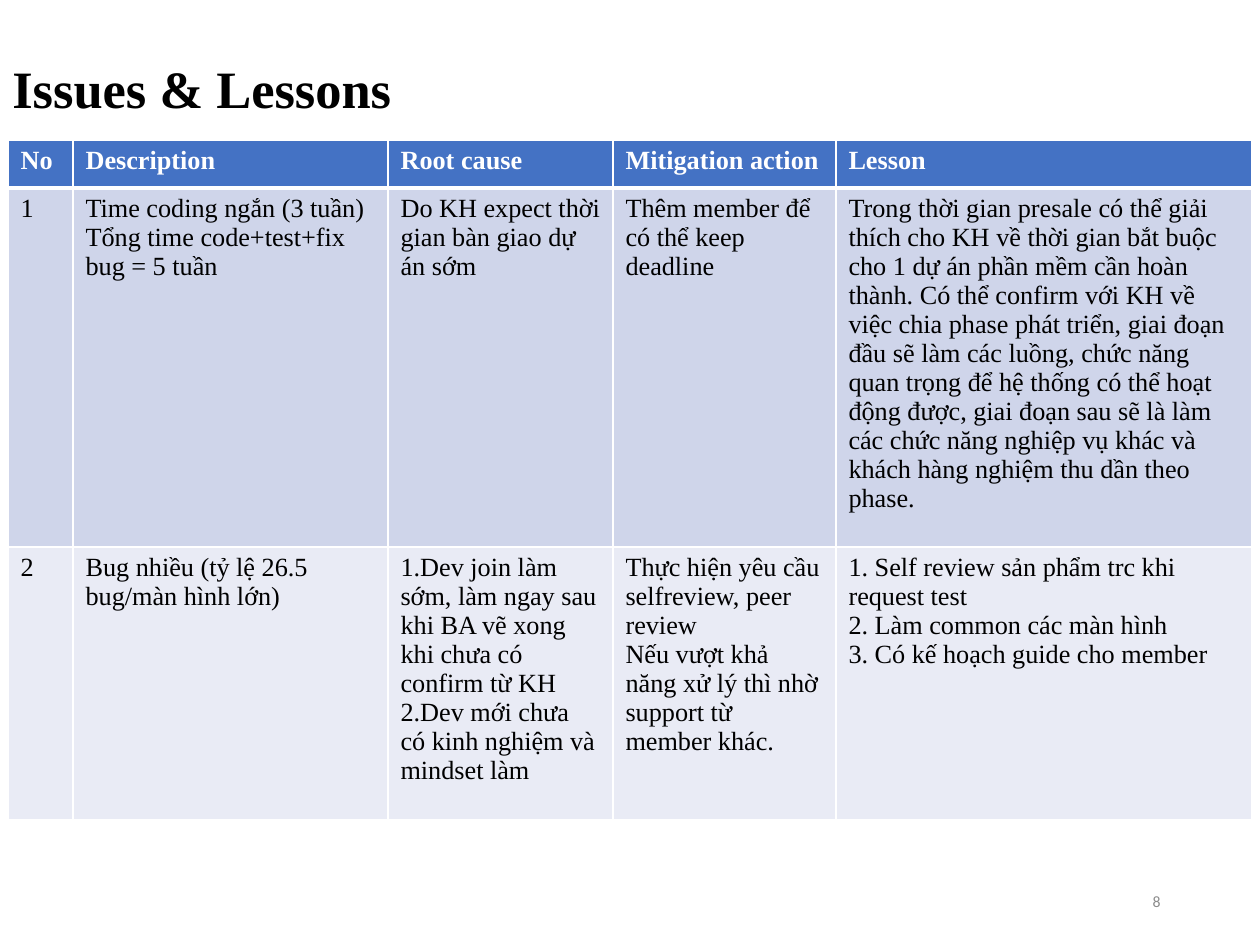
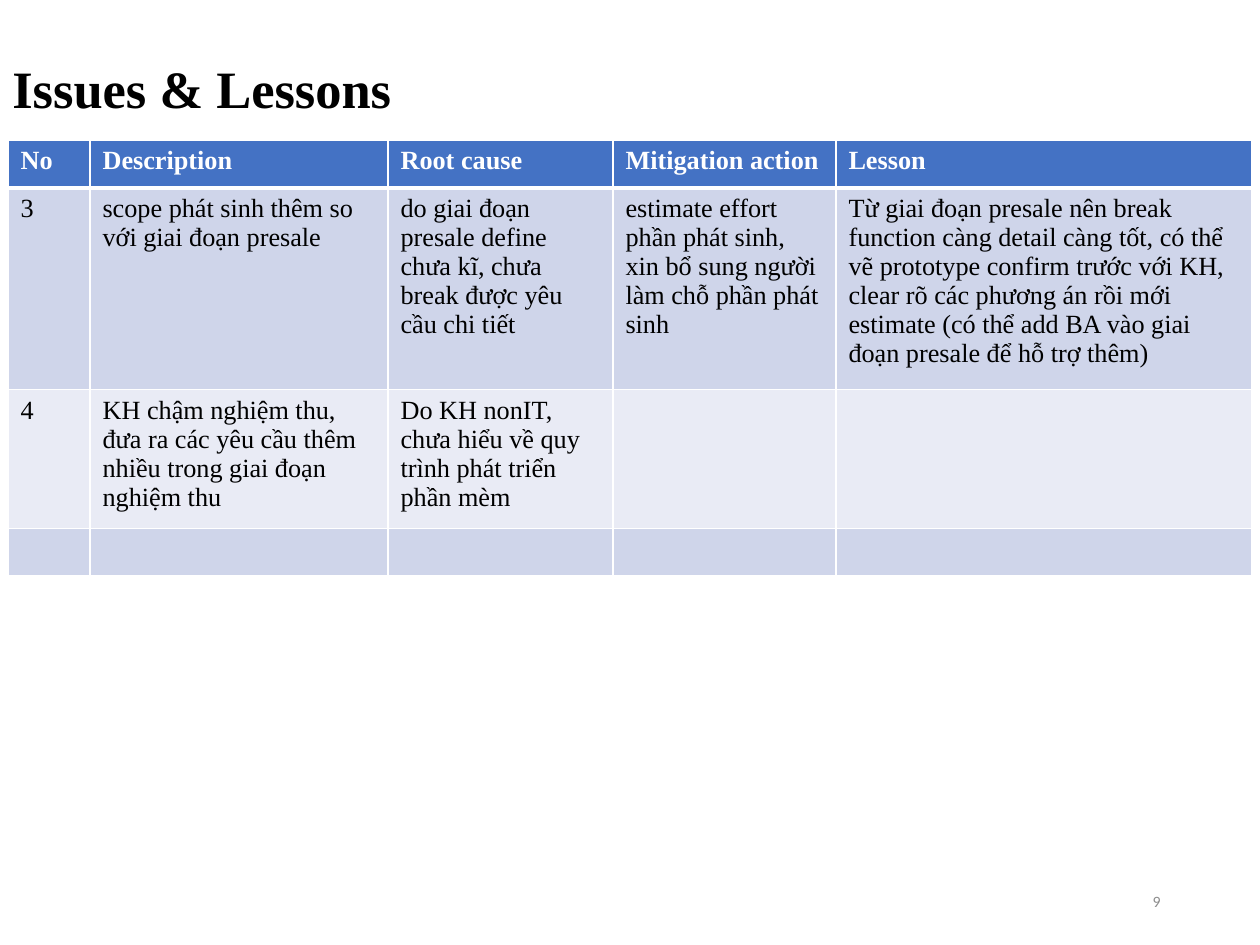
"""Build the two Issues & Lessons slides."""
from dataclasses import dataclass

from lxml import etree
from pptx import Presentation
from pptx.dml.color import RGBColor
from pptx.enum.text import MSO_ANCHOR, PP_ALIGN
from pptx.oxml.ns import qn
from pptx.slide import Slide
from pptx.table import _Cell
from pptx.text.text import TextFrame
from pptx.util import Pt

LEFT, RIGHT = PP_ALIGN.LEFT, PP_ALIGN.RIGHT
MIDDLE = MSO_ANCHOR.MIDDLE

PX_PER_INCH = 126
EMU_PER_INCH = 914400
COLORS = {
    "white": "FFFFFF",
    "black": "000000",
    "header": "4472C4",
    "band_dark": "CFD5EA",
    "band_light": "E9EBF5",
    "page_number": "8C8C8C",
}


@dataclass(frozen=True)
class Box:
    """A rectangle in px."""
    left: int
    top: int
    width: int
    height: int


@dataclass(frozen=True)
class TextStyle:
    """The look of a paragraph."""
    size: int
    color: str
    bold: bool = False
    font_name: str = "Times New Roman"
    alignment: PP_ALIGN = LEFT
    line_spacing: float = 1.0


@dataclass(frozen=True)
class IssuePage:
    """The contents of one slide."""
    number: int
    number_column_width: int
    row_heights: tuple[int, ...]
    issues: tuple[tuple[str, ...], ...]


TITLE = "Issues & Lessons"
TITLE_BOX = Box(0, 0, 1086, 183)
PAGE_NUMBER_BOX = Box(890, 876, 283, 50)
TABLE_LEFT, TABLE_TOP = 8, 140
HEADER_HEIGHT = 48
FIRST_COLUMNS_WIDTH = 380
OTHER_COLUMN_WIDTHS = (225, 223, 416)
HEADINGS = ("No", "Description", "Root cause", "Mitigation action", "Lesson")
THIN_BORDER, THICK_BORDER = Pt(1), Pt(3)

TITLE_STYLE = TextStyle(30, "black", bold=True, line_spacing=0.9)
PAGE_NUMBER_STYLE = TextStyle(9, "page_number", font_name="Calibri", alignment=RIGHT)
HEADING_STYLE = TextStyle(15, "white", bold=True)
BODY_STYLE = TextStyle(15, "black")

PAGES = (
    IssuePage(8, 65, (332, 273), (
        (
            "1",
            "Time coding ngắn (3 tuần)\nTổng time code+test+fix bug = 5 tuần",
            "Do KH expect thời gian bàn giao dự án sớm",
            "Thêm member để có thể keep deadline",
            "Trong thời gian presale có thể giải thích cho KH về thời gian bắt buộc "
            "cho 1 dự án phần mềm cần hoàn thành. Có thể confirm với KH về việc chia "
            "phase phát triển, giai đoạn đầu sẽ làm các luồng, chức năng quan trọng "
            "để hệ thống có thể hoạt động được, giai đoạn sau sẽ là làm các chức năng "
            "nghiệp vụ khác và khách hàng nghiệm thu dần theo phase.",
        ),
        (
            "2",
            "Bug nhiều (tỷ lệ 26.5 bug/màn hình lớn)",
            "1.Dev join làm sớm, làm ngay sau khi BA vẽ xong khi chưa có confirm từ KH\n"
            "2.Dev mới chưa có kinh nghiệm và mindset làm",
            "Thực hiện yêu cầu selfreview, peer review\n"
            "Nếu vượt khả năng xử lý thì nhờ support từ member khác.",
            "1. Self review sản phẩm trc khi request test\n"
            "2. Làm common các màn hình\n"
            "3. Có kế hoạch guide cho member",
        ),
    )),
    IssuePage(9, 82, (187, 129, 48), (
        (
            "3",
            "scope phát sinh thêm so với giai đoạn presale",
            "do giai đoạn presale define chưa kĩ, chưa break được yêu cầu chi tiết",
            "estimate effort phần phát sinh, xin bổ sung người làm chỗ phần phát sinh",
            "Từ giai đoạn presale nên break function càng detail càng tốt, có thể vẽ "
            "prototype confirm trước với KH, clear rõ các phương án rồi mới estimate "
            "(có thể add BA vào giai đoạn presale để hỗ trợ thêm)",
        ),
        (
            "4",
            "KH chậm nghiệm thu, đưa ra các yêu cầu thêm nhiều trong giai đoạn nghiệm thu",
            "Do KH nonIT, chưa hiểu về quy trình phát triển phần mèm",
            "",
            "",
        ),
        ("",) * len(HEADINGS),
    )),
)


def px(length: int) -> int:
    """Turn px into EMU."""
    return round(length * EMU_PER_INCH / PX_PER_INCH)


def rgb(name: str) -> RGBColor:
    """Look up a named colour."""
    return RGBColor.from_string(COLORS[name])


def write_text(text_frame: TextFrame, text: str, style: TextStyle) -> None:
    """Fill a text frame with styled paragraphs, one per line."""
    text_frame.text = text
    text_frame.word_wrap = True
    for paragraph in text_frame.paragraphs:
        paragraph.alignment = style.alignment
        paragraph.line_spacing = style.line_spacing
        paragraph.font.name = style.font_name
        paragraph.font.size = Pt(style.size)
        paragraph.font.bold = style.bold
        paragraph.font.color.rgb = rgb(style.color)


def add_label(slide: Slide, box: Box, text: str, style: TextStyle) -> None:
    """Add a vertically centred text box."""
    shape = slide.shapes.add_textbox(
        px(box.left), px(box.top), px(box.width), px(box.height)
    )
    write_text(shape.text_frame, text, style)
    shape.text_frame.vertical_anchor = MIDDLE


def set_borders(cell: _Cell, top: int, bottom: int) -> None:
    """Draw white borders around a cell."""
    properties = cell._tc.get_or_add_tcPr()
    widths = {"lnL": THIN_BORDER, "lnR": THIN_BORDER, "lnT": top, "lnB": bottom}
    for tag, width in widths.items():
        line = etree.SubElement(properties, qn(f"a:{tag}"), w=str(int(width)))
        fill = etree.SubElement(line, qn("a:solidFill"))
        etree.SubElement(fill, qn("a:srgbClr"), val=COLORS["white"])


def add_issue_table(slide: Slide, page: IssuePage) -> None:
    """Add the table of issues under its heading row."""
    rows = (HEADINGS, *page.issues)
    heights = (HEADER_HEIGHT, *page.row_heights)
    description_width = FIRST_COLUMNS_WIDTH - page.number_column_width
    widths = (page.number_column_width, description_width, *OTHER_COLUMN_WIDTHS)
    table = slide.shapes.add_table(
        len(rows), len(widths),
        px(TABLE_LEFT), px(TABLE_TOP), px(sum(widths)), px(sum(heights)),
    ).table
    table.horz_banding = False
    for column, width in zip(table.columns, widths):
        column.width = px(width)
    for row_index, (row, height) in enumerate(zip(rows, heights)):
        table.rows[row_index].height = px(height)
        is_header = row_index == 0
        band = "band_dark" if row_index % 2 else "band_light"
        for column_index, text in enumerate(row):
            cell = table.cell(row_index, column_index)
            set_borders(
                cell,
                top=THICK_BORDER if row_index == 1 else THIN_BORDER,
                bottom=THICK_BORDER if is_header else THIN_BORDER,
            )
            cell.fill.solid()
            cell.fill.fore_color.rgb = rgb("header" if is_header else band)
            write_text(cell.text_frame, text, HEADING_STYLE if is_header else BODY_STYLE)


def main() -> None:
    """Build and save the presentation."""
    presentation = Presentation()
    presentation.slide_width = px(1260)
    presentation.slide_height = px(945)
    blank_layout = presentation.slide_layouts[6]
    for page in PAGES:
        slide = presentation.slides.add_slide(blank_layout)
        add_label(slide, TITLE_BOX, TITLE, TITLE_STYLE)
        add_label(slide, PAGE_NUMBER_BOX, str(page.number), PAGE_NUMBER_STYLE)
        add_issue_table(slide, page)
    presentation.save("out.pptx")


if __name__ == "__main__":
    main()
